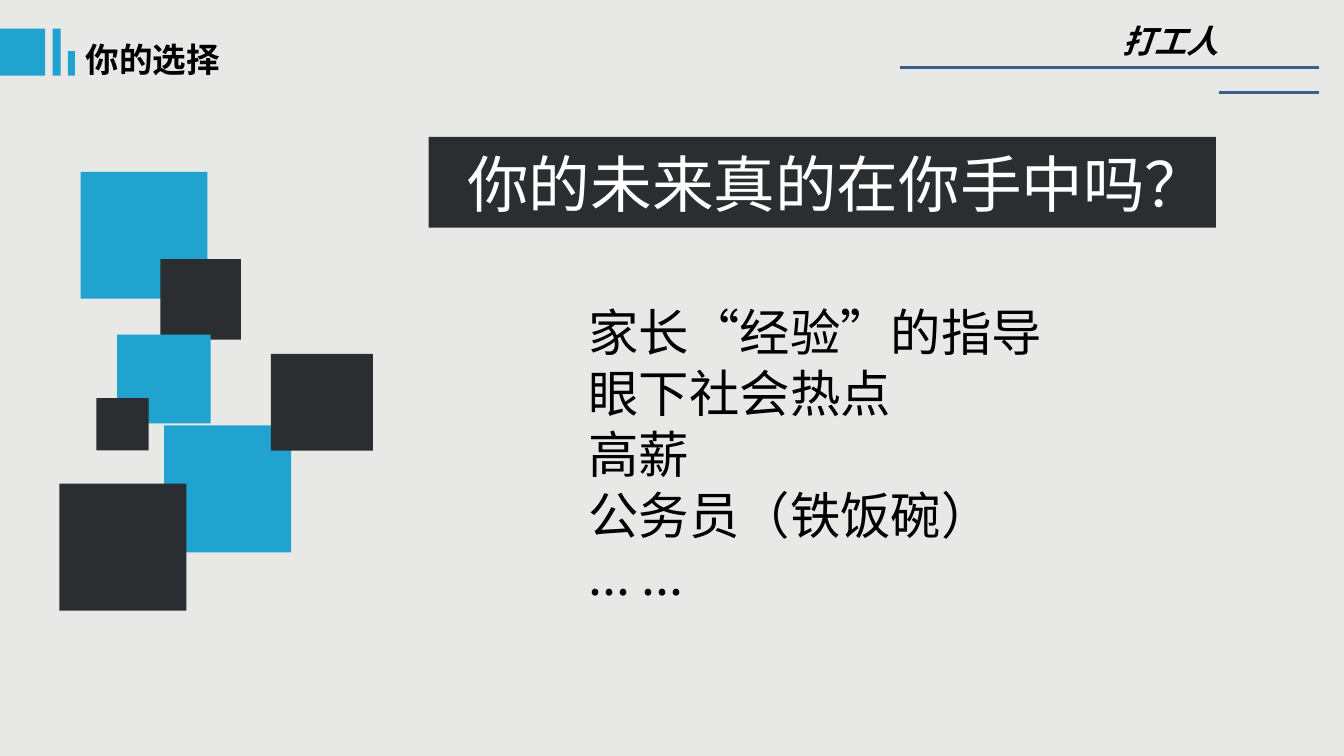
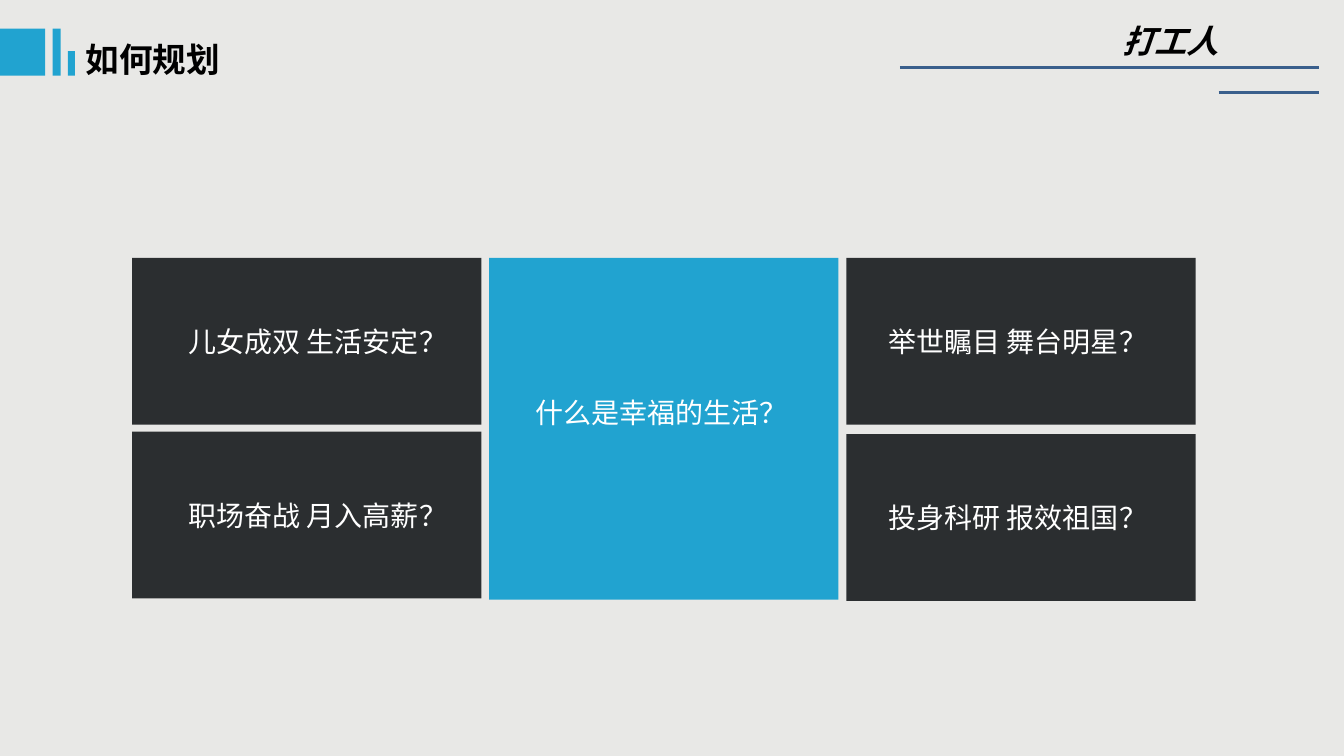
from dataclasses import dataclass

from lxml.etree import SubElement
from pptx import Presentation
from pptx.dml.color import RGBColor
from pptx.enum.lang import MSO_LANGUAGE_ID
from pptx.enum.shapes import MSO_CONNECTOR, MSO_SHAPE
from pptx.enum.text import MSO_ANCHOR, MSO_AUTO_SIZE, PP_ALIGN
from pptx.oxml.ns import qn
from pptx.slide import Slide
from pptx.text.text import TextFrame
from pptx.util import Cm, Pt

PAPER = RGBColor(0xE8, 0xE8, 0xE6)
BLUE = RGBColor(0x21, 0xA3, 0xD0)
DARK = RGBColor(0x2B, 0x2E, 0x30)
RULE = RGBColor(0x3A, 0x5F, 0x8C)
BLACK = RGBColor(0x00, 0x00, 0x00)
WHITE = RGBColor(0xFF, 0xFF, 0xFF)
FONT = "Noto Sans CJK SC"
LINE_HEIGHT = 1.21


@dataclass(frozen=True)
class Area:
    left: float
    top: float
    width: float
    height: float

    def lengths(self) -> tuple[Cm, Cm, Cm, Cm]:
        return Cm(self.left), Cm(self.top), Cm(self.width), Cm(self.height)


@dataclass(frozen=True)
class Block:
    area: Area
    color: RGBColor


@dataclass(frozen=True)
class TextStyle:
    size: float
    color: RGBColor = BLACK
    bold: bool = False
    italic: bool = False


@dataclass(frozen=True)
class Card:
    block: Block
    text: str
    text_area: Area


TITLE = TextStyle(24, bold=True)
TAG = TextStyle(23, bold=True, italic=True)
BODY = TextStyle(36)
QUESTION = TextStyle(44, WHITE)
CARD_TEXT = TextStyle(20, WHITE)

TITLE_AREA = Area(1.9, 0.84, 5.44, 1.27)
TAG_AREA = Area(28.04, 0.41, 3, 1.24)
RULE_RIGHT = 33.25
RULES = ((22.68, 1.7), (30.71, 2.34))
TITLE_MARKS = (
    Block(Area(0, 0.72, 1.14, 1.19), BLUE),
    Block(Area(1.33, 0.72, 0.2, 1.19), BLUE),
    Block(Area(1.71, 1.29, 0.18, 0.62), BLUE),
)
SQUARES = (
    Block(Area(2.03, 4.33, 3.2, 3.2), BLUE),
    Block(Area(4.04, 6.53, 2.03, 2.03), DARK),
    Block(Area(2.95, 8.43, 2.36, 2.24), BLUE),
    Block(Area(2.43, 10.03, 1.32, 1.32), DARK),
    Block(Area(4.14, 10.72, 3.2, 3.2), BLUE),
    Block(Area(6.83, 8.92, 2.57, 2.44), DARK),
    Block(Area(1.5, 12.19, 3.2, 3.2), DARK),
)
QUESTION_BAND = Block(Area(10.8, 3.45, 19.84, 2.29), DARK)

GRID_LEFT, GRID_TOP, COLUMN_STEP = 3.33, 6.5, 9
CARD_WIDTH, CARD_HEIGHT = 8.8, 4.2


def format_text(frame: TextFrame, text: str, style: TextStyle) -> None:
    frame.text = text
    frame.word_wrap = True
    frame.auto_size = MSO_AUTO_SIZE.SHAPE_TO_FIT_TEXT
    frame.vertical_anchor = MSO_ANCHOR.TOP
    for para in frame.paragraphs:
        para.alignment = PP_ALIGN.LEFT
        para.line_spacing = Pt(style.size * LINE_HEIGHT)
        for span in para.runs:
            font = span.font
            font.name = FONT
            font.size = Pt(style.size)
            font.bold = style.bold
            font.italic = style.italic
            font.color.rgb = style.color
            font.language_id = MSO_LANGUAGE_ID.SIMPLIFIED_CHINESE
            properties = span._r.get_or_add_rPr()
            SubElement(properties, qn("a:ea"), typeface=FONT)


def add_text(page: Slide, area: Area, text: str, style: TextStyle) -> None:
    box = page.shapes.add_textbox(*area.lengths())
    format_text(box.text_frame, text, style)


def add_block(page: Slide, block: Block) -> None:
    shape = page.shapes.add_shape(MSO_SHAPE.RECTANGLE, *block.area.lengths())
    shape.shadow.inherit = False
    shape.fill.solid()
    shape.fill.fore_color.rgb = block.color
    shape.line.fill.background()


def add_rule(page: Slide, left: float, top: float) -> None:
    rule = page.shapes.add_connector(
        MSO_CONNECTOR.STRAIGHT, Cm(left), Cm(top), Cm(RULE_RIGHT), Cm(top)
    )
    rule.line.color.rgb = RULE
    rule.line.width = Pt(2.25)
    SubElement(rule._element.spPr, qn("a:effectLst"))


def add_page(deck: Presentation, title: str) -> Slide:
    page = deck.slides.add_slide(deck.slide_layouts.get_by_name("Title Only"))
    heading = page.shapes.title
    heading.left, heading.top, heading.width, heading.height = TITLE_AREA.lengths()
    format_text(heading.text_frame, title, TITLE)
    for left, top in RULES:
        add_rule(page, left, top)
    add_text(page, TAG_AREA, "打工人", TAG)
    for mark in TITLE_MARKS:
        add_block(page, mark)
    return page


def side_card(column: int, top: float, inset: float, text: str) -> Card:
    left = GRID_LEFT + column * COLUMN_STEP
    area = Area(left, top, CARD_WIDTH, CARD_HEIGHT)
    return Card(Block(area, DARK), text, Area(left + inset, top + 1.55, 7.19, 1.12))


def build_choice(deck: Presentation) -> None:
    page = add_page(deck, "你的选择")
    for square in SQUARES:
        add_block(page, square)
    add_block(page, QUESTION_BAND)
    add_text(page, Area(11.53, 3.53, 19.5, 2.13), "你的未来真的在你手中吗？", QUESTION)
    reasons = ("家长“经验”的指导", "眼下社会热点", "高薪", "公务员（铁饭碗）", "... ...")
    add_text(page, Area(14.58, 7.44, 12.6, 7.95), "\n".join(reasons), BODY)


def build_plan(deck: Presentation) -> None:
    page = add_page(deck, "如何规划")
    middle = GRID_LEFT + COLUMN_STEP
    cards = (
        Card(
            Block(Area(middle, GRID_TOP, CARD_WIDTH, 8.61), BLUE),
            "什么是幸福的生活？",
            Area(middle + 0.92, 9.83, 6.93, 1.12),
        ),
        side_card(0, GRID_TOP, 1.17, "儿女成双 生活安定？"),
        side_card(0, 10.88, 1.17, "职场奋战 月入高薪？"),
        side_card(2, GRID_TOP, 0.81, "举世瞩目 舞台明星？"),
        side_card(2, 10.94, 0.81, "投身科研 报效祖国？"),
    )
    for card in cards:
        add_block(page, card.block)
        add_text(page, card.text_area, card.text, CARD_TEXT)


def main() -> None:
    deck = Presentation()
    deck.slide_width, deck.slide_height = Cm(33.87), Cm(19.05)
    backdrop = deck.slide_master.background.fill
    backdrop.solid()
    backdrop.fore_color.rgb = PAPER
    build_choice(deck)
    build_plan(deck)
    deck.save("out.pptx")


if __name__ == "__main__":
    main()
